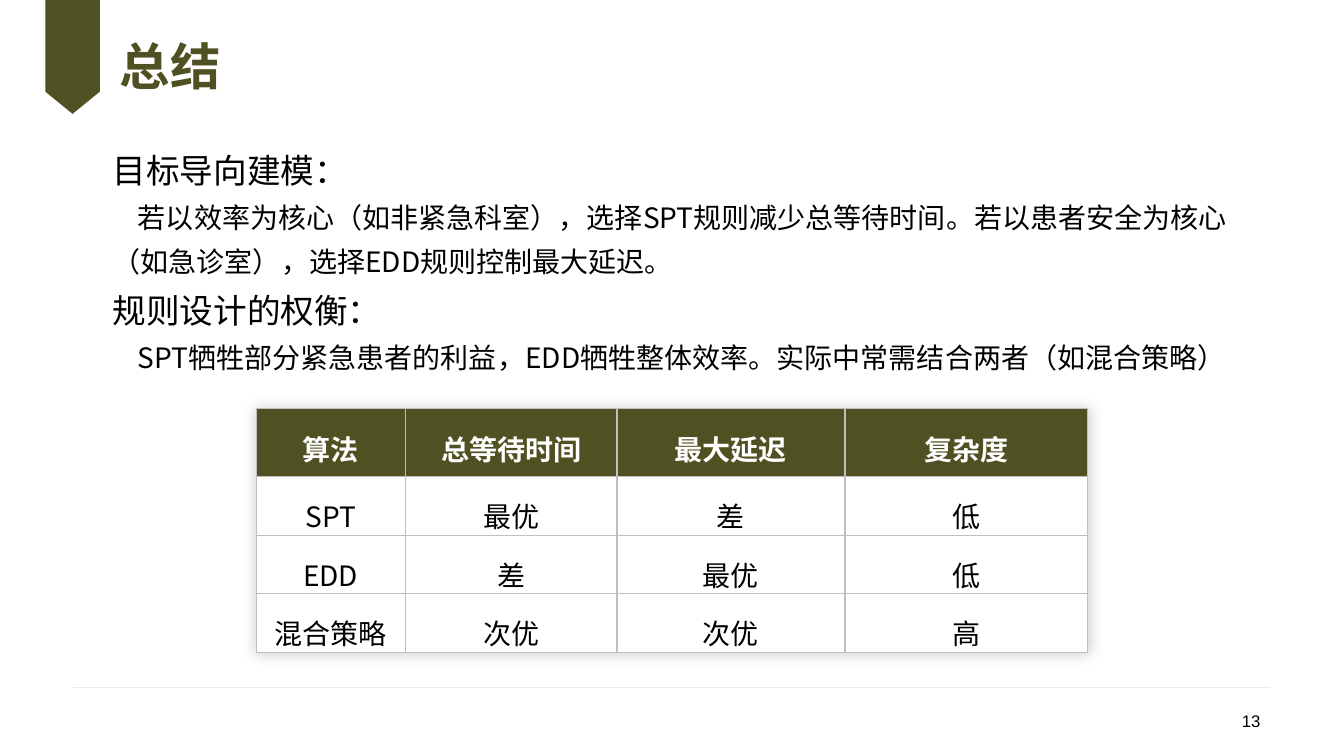
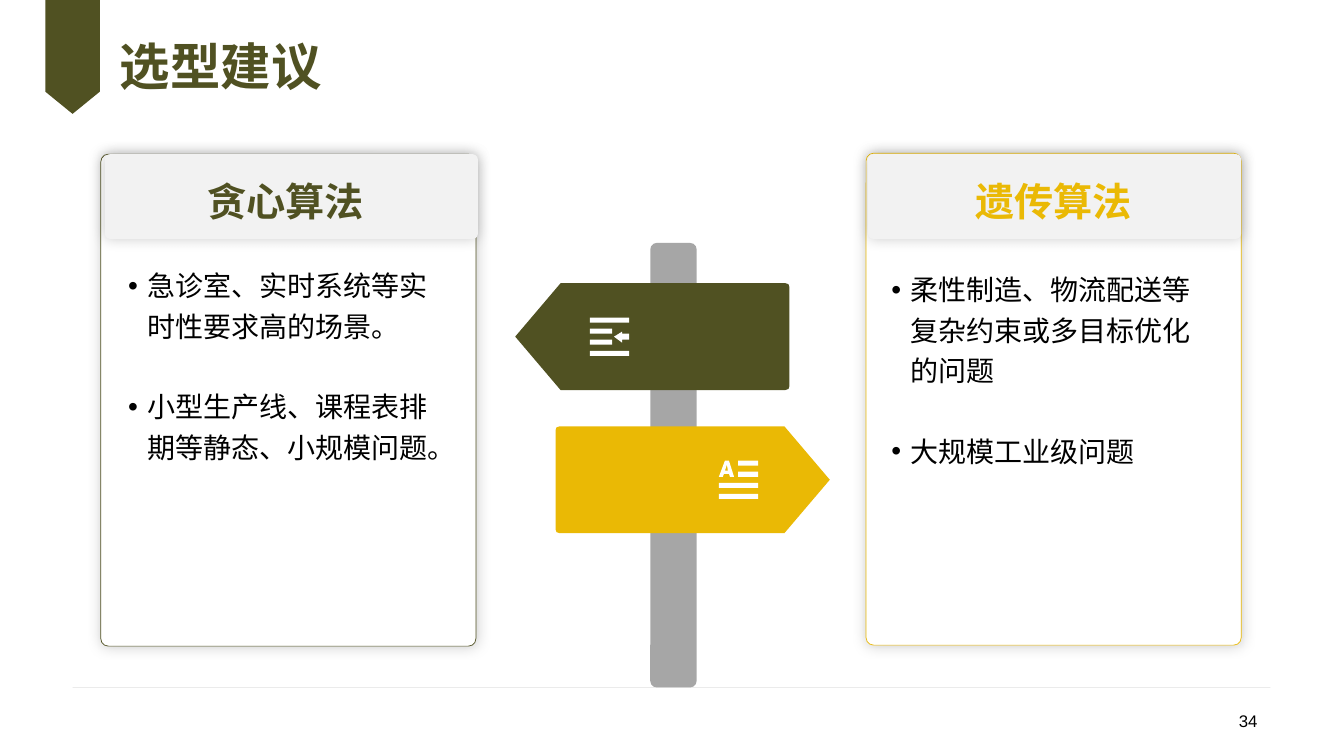
import pptx
import pptx.dml.color
import pptx.enum.shapes
import pptx.enum.text
import pptx.oxml
import pptx.oxml.ns
import pptx.util
from lxml import etree

Inches = pptx.util.Inches
Pt = pptx.util.Pt
qn = pptx.oxml.ns.qn
SHAPE = pptx.enum.shapes.MSO_SHAPE
ALIGN = pptx.enum.text.PP_ALIGN
ANCHOR = pptx.enum.text.MSO_ANCHOR

OLIVE, GOLD = "505122", "EAB905"
WHITE, BLACK = "FFFFFF", "000000"
PALE, POST_GRAY, RULE_GRAY = "F2F2F2", "A6A6A6", "BFBFBF"
CJK = "Noto Sans CJK SC"


def rgb(hex_color):
    return pptx.dml.color.RGBColor.from_string(hex_color)


def add_xml(parent, tag, **attributes):
    return etree.SubElement(parent, qn(tag), attributes)


def write(frame, text, size=20, color=BLACK, font=CJK, bold=False, align=ALIGN.LEFT,
          spacing=1.0, before=0, indent=0, bullet=False):
    """Write one paragraph; the first call fills the frame's empty paragraph."""
    first = frame.paragraphs[0]
    paragraph = frame.add_paragraph() if first.runs else first
    paragraph.alignment = align
    paragraph.line_spacing = spacing
    paragraph.space_before = Pt(before)
    properties = paragraph._p.get_or_add_pPr()
    properties.set("indent", str(Inches(indent)))
    if bullet:
        properties.set("marL", str(Inches(-indent)))
        add_xml(properties, "a:buFont", typeface="Arial")
        add_xml(properties, "a:buChar", char="•")
    run = paragraph.add_run()
    run.text = text
    run.font.size = Pt(size)
    run.font.bold = bold
    run.font.name = font
    run.font.color.rgb = rgb(color)
    add_xml(run._r.get_or_add_rPr(), "a:ea", typeface=CJK)


def add_shadow(effects):
    shadow = add_xml(effects, "a:outerShdw", blurRad=str(Pt(10)), dist="0", dir="0",
                     algn="ctr", rotWithShape="0")
    tint = add_xml(shadow, "a:srgbClr", val=BLACK)
    add_xml(tint, "a:alpha", val="20000")


class Deck:
    def __init__(self):
        self.presentation = pptx.Presentation()
        self.presentation.slide_width = Inches(13.33)
        self.presentation.slide_height = Inches(7.5)
        self.slide = None

    def new_slide(self, title, number, number_left, title_font=CJK):
        self.slide = self.presentation.slides.add_slide(
            self.presentation.slide_layouts[6])
        self.rule(0.72, 12.6, 6.82)
        self.outline([[(0.45, 0), (0.99, 0), (0.99, 0.91), (0.72, 1.13), (0.45, 0.91)]],
                     OLIVE)
        heading = self.text_box(1.19, 0.26, 8.93, 0.86, ANCHOR.MIDDLE, (0, 0))
        write(heading, title, size=36, color=OLIVE, font=title_font, bold=True,
              spacing=0.9)
        footer = self.text_box(number_left, 6.95, 3, 0.4, ANCHOR.MIDDLE)
        write(footer, number, size=12, font="Arial", align=ALIGN.RIGHT)

    def rule(self, left, right, y):
        line = self.slide.shapes.add_connector(
            pptx.enum.shapes.MSO_CONNECTOR.STRAIGHT,
            Inches(left), Inches(y), Inches(right), Inches(y))
        line.line.width = Pt(0.25)
        line.line.color.rgb = rgb(RULE_GRAY)
        tint = line._element.spPr.find(".//" + qn("a:srgbClr"))
        add_xml(tint, "a:alpha", val="47000")
        add_xml(line._element.spPr, "a:effectLst")

    def text_box(self, left, top, width, height, anchor=ANCHOR.TOP, insets=(0.1, 0.05)):
        frame = self.slide.shapes.add_textbox(
            Inches(left), Inches(top), Inches(width), Inches(height)).text_frame
        frame.word_wrap = True
        frame.vertical_anchor = anchor
        frame.margin_left = frame.margin_right = Inches(insets[0])
        frame.margin_top = frame.margin_bottom = Inches(insets[1])
        return frame

    def paint(self, shape, fill, line=None):
        shape.shadow.inherit = False
        shape.fill.solid()
        shape.fill.fore_color.rgb = rgb(fill)
        if line:
            shape.line.color.rgb = rgb(line)
            shape.line.width = Pt(0.5)
        else:
            shape.line.fill.background()

    def panel(self, left, top, width, height, radius, fill, line=None, shadow=True):
        shape = self.slide.shapes.add_shape(
            SHAPE.ROUNDED_RECTANGLE, Inches(left), Inches(top),
            Inches(width), Inches(height))
        shape.adjustments[0] = radius
        self.paint(shape, fill, line)
        if shadow:
            add_shadow(shape._element.spPr.find(qn("a:effectLst")))

    def outline(self, contours, fill):
        """Fill one or more closed contours given in inches."""
        points = [[(Inches(x), Inches(y)) for x, y in contour] for contour in contours]
        builder = self.slide.shapes.build_freeform(*points[0][0], scale=1.0)
        for index, contour in enumerate(points):
            if index:
                builder.move_to(*contour[0])
            builder.add_line_segments(contour[1:], close=True)
        self.paint(builder.convert_to_shape(), fill)

    def sign(self, tip, top, direction, fill):
        """Arrow board with softened back corners; direction is 1 or -1."""
        shoulder, back = tip - 0.45 * direction, tip - 2.72 * direction
        bottom, middle = top + 1.06, top + 0.53
        near, far = back + 0.01 * direction, back + 0.04 * direction
        self.outline([[(far, top), (shoulder, top), (tip, middle), (shoulder, bottom),
                       (far, bottom), (near, bottom - 0.01), (back, bottom - 0.04),
                       (back, top + 0.04), (near, top + 0.01)]], fill)

    def icon(self, left, top, bars, details):
        """White glyph: bars as (x, y, width), details as polygons from its corner."""
        contours = [[(x, y), (x + width, y), (x + width, y + 0.05), (x, y + 0.05)]
                    for x, y, width in bars] + details
        self.outline([[(left + x, top + y) for x, y in contour] for contour in contours],
                     WHITE)

    def card(self, left, top, header_left, heading_left, body_left, body_top,
             color, heading, points):
        self.panel(left, top, 3.72, 4.88, 0.02, WHITE, line=color)
        self.panel(header_left, 1.53, 3.7, 0.84, 0.06, PALE)
        title = self.text_box(heading_left, 1.57, 3.1, 0.7, ANCHOR.MIDDLE)
        write(title, heading, size=28, color=color, font="Arial", bold=True,
              align=ALIGN.CENTER, spacing=1.3)
        body = self.text_box(body_left, body_top, 3.23, 3.68, insets=(0, 0.05))
        for index, point in enumerate(points):
            write(body, point, spacing=1.2, before=29 if index else 0,
                  indent=-0.19, bullet=True)

    def table(self, left, top, widths, heights, rows):
        table = self.slide.shapes.add_table(
            len(rows), len(widths), Inches(left), Inches(top),
            Inches(sum(widths)), Inches(sum(heights))).table
        table.first_row = table.horz_banding = False
        effects = pptx.oxml.parse_xml(
            "<a:effectLst %s/>" % pptx.oxml.ns.nsdecls("a"))
        table._tbl.tblPr.insert(0, effects)
        add_shadow(effects)
        for column, width in zip(table.columns, widths):
            column.width = Inches(width)
        for row, height, values in zip(table.rows, heights, rows):
            row.height = Inches(height)
            header = values is rows[0]
            for cell, value in zip(row.cells, values):
                self.cell(cell, value, header)

    def cell(self, cell, value, header):
        cell.vertical_anchor = ANCHOR.MIDDLE
        cell.margin_left = cell.margin_right = Inches(0.11)
        cell.margin_top = cell.margin_bottom = Inches(0.06)
        for side in "LRTB":
            border = add_xml(cell._tc.get_or_add_tcPr(), "a:ln" + side, w=str(Pt(1)))
            add_xml(add_xml(border, "a:solidFill"), "a:srgbClr", val=RULE_GRAY)
        cell.fill.solid()
        cell.fill.fore_color.rgb = rgb(OLIVE if header else WHITE)
        write(cell.text_frame, value, color=WHITE if header else BLACK, bold=header,
              align=ALIGN.CENTER, spacing=1.3)


def build_summary(deck):
    deck.new_slide("总结", "13", 9.6, title_font="Arial")
    summary = deck.text_box(1.02, 1.32, 11.3, 2.46)
    for topic, detail in [
        ("目标导向建模：", "若以效率为核心（如非紧急科室），选择SPT规则减少总等待时间。"
         "若以患者安全为核心（如急诊室），选择EDD规则控制最大延迟。"),
        ("规则设计的权衡：", "SPT牺牲部分紧急患者的利益，EDD牺牲整体效率。"
         "实际中常需结合两者（如混合策略）"),
    ]:
        write(summary, topic, size=24, spacing=1.3)
        write(summary, detail, spacing=1.3, indent=0.25)
    deck.table(2.54, 4.05, [1.48, 2.1, 2.26, 2.41], [0.68, 0.58, 0.58, 0.58], [
        ["算法", "总等待时间", "最大延迟", "复杂度"],
        ["SPT", "最优", "差", "低"],
        ["EDD", "差", "最优", "低"],
        ["混合策略", "次优", "次优", "高"],
    ])


def build_advice(deck):
    deck.new_slide("选型建议", "34", 9.57)

    # Two recommendation cards
    deck.card(1, 1.53, 1.04, 1.28, 1.27, 2.55, OLIVE, "贪心算法",
              ["急诊室、实时系统等实时性要求高的场景。",
               "小型生产线、课程表排期等静态、小规模问题。"])
    deck.card(8.59, 1.52, 8.61, 8.9, 8.84, 2.59, GOLD, "遗传算法",
              ["柔性制造、物流配送等复杂约束或多目标优化的问题",
               "大规模工业级问题"])

    # Signpost
    deck.panel(6.45, 2.41, 0.46, 4.41, 0.14, POST_GRAY, shadow=False)
    deck.sign(8.23, 4.23, 1, GOLD)
    deck.sign(5.11, 2.81, -1, OLIVE)

    # Sign icons: lettered paragraph and outdent arrow
    deck.icon(7.13, 4.57,
              [(0.19, 0, 0.2), (0.19, 0.11, 0.2), (0, 0.22, 0.39), (0, 0.33, 0.39)],
              [[(0.06, 0), (0.1, 0), (0.15, 0.16), (0.11, 0.16), (0.1, 0.13),
                (0.05, 0.13), (0.04, 0.16), (0, 0.16)],
               [(0.08, 0.04), (0.06, 0.1), (0.09, 0.1)]])
    deck.icon(5.85, 3.15,
              [(0, 0, 0.39), (0, 0.11, 0.22), (0, 0.22, 0.22), (0, 0.33, 0.39)],
              [[(0.32, 0.14), (0.32, 0.16), (0.39, 0.16), (0.39, 0.22),
                (0.32, 0.22), (0.32, 0.25), (0.24, 0.19)]])


def main():
    deck = Deck()
    build_summary(deck)
    build_advice(deck)
    deck.presentation.save("out.pptx")


if __name__ == "__main__":
    main()
